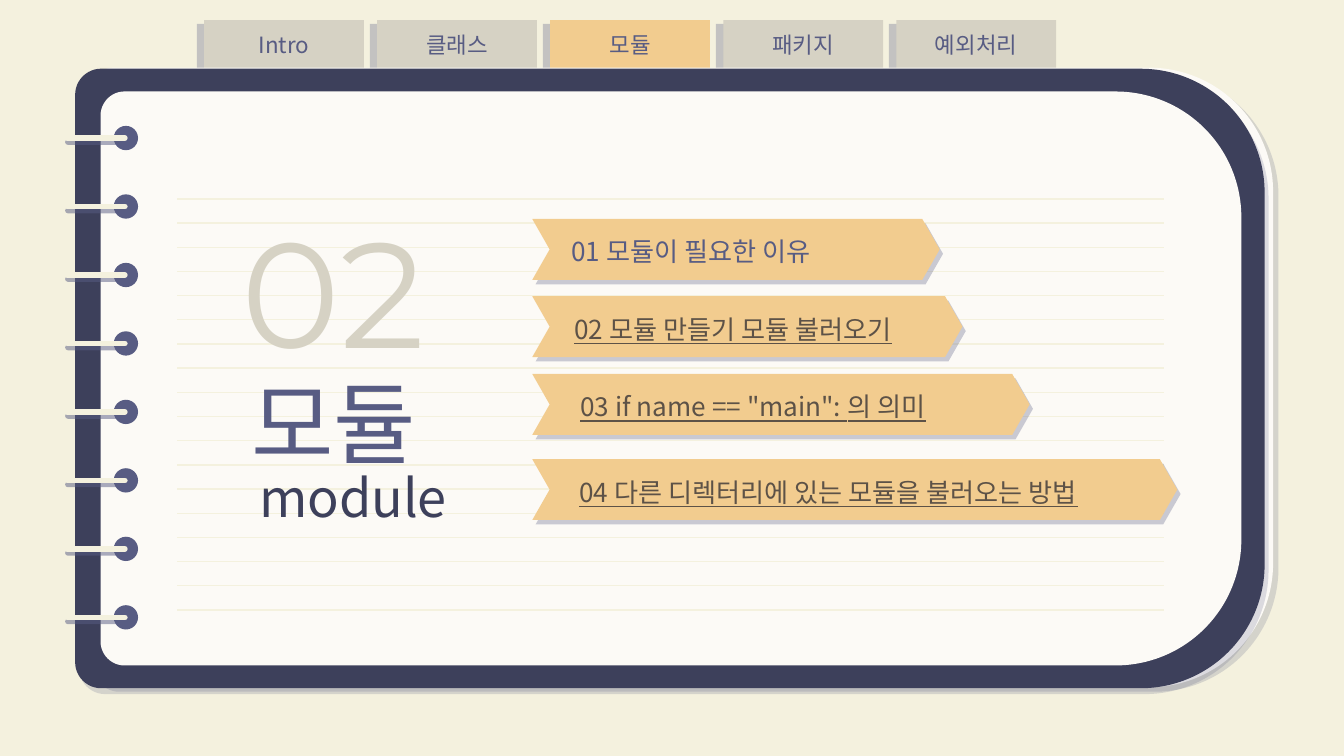
import pptx
import pptx.util
import pptx.dml.color
import pptx.enum.dml
import pptx.enum.shapes
import pptx.enum.text
import pptx.oxml
import pptx.oxml.ns
from pptx.util import Cm, Pt

SHAPE = pptx.enum.shapes.MSO_SHAPE
ALIGN = pptx.enum.text.PP_ALIGN
ANCHOR = pptx.enum.text.MSO_ANCHOR
qn = pptx.oxml.ns.qn

KOREAN = "Noto Sans CJK KR"
CREAM, PAPER, NAVY = "F4F1DE", "FCFAF6", "3D405B"
PURPLE, STONE, AMBER, BROWN = "585C83", "D6D2C4", "F2CC8F", "5D5247"


def rgb(color):
    return pptx.dml.color.RGBColor.from_string(color)


def add_effects(sp, shadow=None):
    """Replace the theme shadow; shadow is (alpha %, distance pt, angle)."""
    xml = f'<a:effectLst {pptx.oxml.ns.nsdecls("a")}>'
    if shadow:
        alpha, dist, angle = shadow
        xml += (f'<a:outerShdw dist="{Pt(dist)}" dir="{angle * 60000}" algn="bl" rotWithShape="0">'
                f'<a:srgbClr val="{PURPLE}"><a:alpha val="{alpha * 1000}"/></a:srgbClr>'
                '</a:outerShdw>')
    sp._element.spPr.append(pptx.oxml.parse_xml(xml + "</a:effectLst>"))


def add_shape(s, kind, x, y, w, h, color, shadow=None):
    sp = s.shapes.add_shape(kind, Cm(x), Cm(y), Cm(w), Cm(h))
    sp.fill.solid()
    sp.fill.fore_color.rgb = rgb(color)
    sp.line.fill.background()
    add_effects(sp, shadow)
    return sp


def add_line(s, x1, x2, y, width, shadow=None):
    line = s.shapes.add_connector(pptx.enum.shapes.MSO_CONNECTOR.STRAIGHT,
                                  Cm(x1), Cm(y), Cm(x2), Cm(y))
    line.line.color.rgb = rgb(CREAM)
    line.line.width = Pt(width)
    add_effects(line, shadow)
    return line


def add_text(s, text, x, y, w, h, size, color, font=KOREAN, align=ALIGN.LEFT,
             anchor=ANCHOR.MIDDLE, inset=0.25, underline=None):
    tf = s.shapes.add_textbox(Cm(x), Cm(y), Cm(w), Cm(h)).text_frame
    tf.word_wrap = True
    tf.vertical_anchor = anchor
    tf.margin_left = tf.margin_right = tf.margin_top = tf.margin_bottom = Cm(inset)
    p = tf.paragraphs[0]
    p.text = text
    p.alignment = align
    p.font.size = Pt(size)
    p.font.name = font
    p.font.underline = underline
    p.font.color.rgb = rgb(color)
    # Same typeface for Hangul
    latin = p._p.pPr.find(qn("a:defRPr")).find(qn("a:latin"))
    ea = pptx.oxml.parse_xml(f'<a:ea {pptx.oxml.ns.nsdecls("a")} typeface="{font}"/>')
    latin.addnext(ea)


def add_tabs(s, x, y, w, h, labels, active):
    gap = 0.25
    for i, label in enumerate(labels):
        left = x + i * (w + gap)
        add_shape(s, SHAPE.RECTANGLE, left, y, w, h,
                  AMBER if label == active else STONE, (31, 4.5, 152))
        add_text(s, label, left, y, w, h, 12, PURPLE, align=ALIGN.CENTER)


def add_page(s, x, y, w, h, corner, color, shadow=None):
    """Sheet with large right corners: a tall shape turned by 90 degrees."""
    sp = add_shape(s, SHAPE.ROUND_2_SAME_RECTANGLE, x + (w - h) / 2, y + (h - w) / 2,
                   h, w, color, shadow)
    sp.rotation = 90
    sp.adjustments[0], sp.adjustments[1] = corner, 0.042


def add_notebook(s, x, y, w, h):
    # Back sheet, cover and paper
    add_page(s, x + 0.24, y - 0.02, w - 0.08, h, 0.2, PAPER, (20, 3.8, 40))
    add_page(s, x, y, w, h, 0.2, NAVY, (20, 3.8, 56))
    add_page(s, x + 0.48, y + 0.43, w - 0.92, h - 0.86, 0.219, PAPER)

    # Binding rings
    d, rings = 0.46, 8
    for i in range(rings):
        cy = y + 1.31 + i * 9.06 / (rings - 1)
        add_shape(s, SHAPE.OVAL, x + 0.73, cy - d / 2, d, d, PURPLE)
        wire = add_line(s, x - 0.15, x + 0.94, cy, 3, (50, 2.2, 80))
        wire.line._get_or_add_ln().set("cap", "rnd")

    # Ruled lines
    rules = 18
    for i in range(rules):
        add_line(s, x + 1.93, x + 20.58, y + 2.46 + i * 7.77 / (rules - 1), 0.75)


def add_title(s, x, y, w, number, title, subtitle):
    add_text(s, subtitle, x + 0.43, y + 4.93, w, 1.98, 28, NAVY, anchor=ANCHOR.TOP)
    add_text(s, title, x + 0.28, y + 3.2, w, 2.34, 48, PURPLE)
    add_text(s, number, x, y, 4.17, 3.68, 80, STONE, "Montserrat", ALIGN.CENTER)


def add_topic(s, x, y, w, h, text, indent, color, underline):
    sp = add_shape(s, SHAPE.CHEVRON, x, y, w, h, AMBER, (31, 3, 53))
    sp.adjustments[0] = 0.286
    add_text(s, text, x + indent, y + 0.14, w - indent - 0.2, h - 0.2, 14, color,
             inset=0, underline=underline)


def main():
    prs = pptx.Presentation()
    prs.slide_width, prs.slide_height = Cm(25.4), Cm(14.29)
    s = prs.slides.add_slide(prs.slide_layouts[6])
    s.background.fill.solid()
    s.background.fill.fore_color.rgb = rgb(CREAM)

    add_tabs(s, 3.86, 0.38, 3.02, 0.94, ["Intro", "클래스", "모듈", "패키지", "예외처리"], "모듈")
    add_notebook(s, 1.42, 1.3, 22.48, 11.71)
    add_title(s, 4.22, 3.61, 7.54, "02", "모듈", "module")

    # Topics: top, width, text, indent, colour, underline
    topics = [
        (4.14, 7.7, "01 모듈이 필요한 이유", 0.74, PURPLE, None),
        (5.6, 8.13, "02 모듈 만들기 모듈 불러오기", 0.79, BROWN, True),
        (7.07, 9.4, '03 if name == "main": 의 의미', 0.91, BROWN, True),
        (8.68, 12.19, "04 다른 디렉터리에 있는 모듈을 불러오는 방법", 0.89, BROWN, True),
    ]
    for top, width, *content in topics:
        add_topic(s, 10.06, top, width, 1.15, *content)

    prs.save("out.pptx")


if __name__ == "__main__":
    main()
